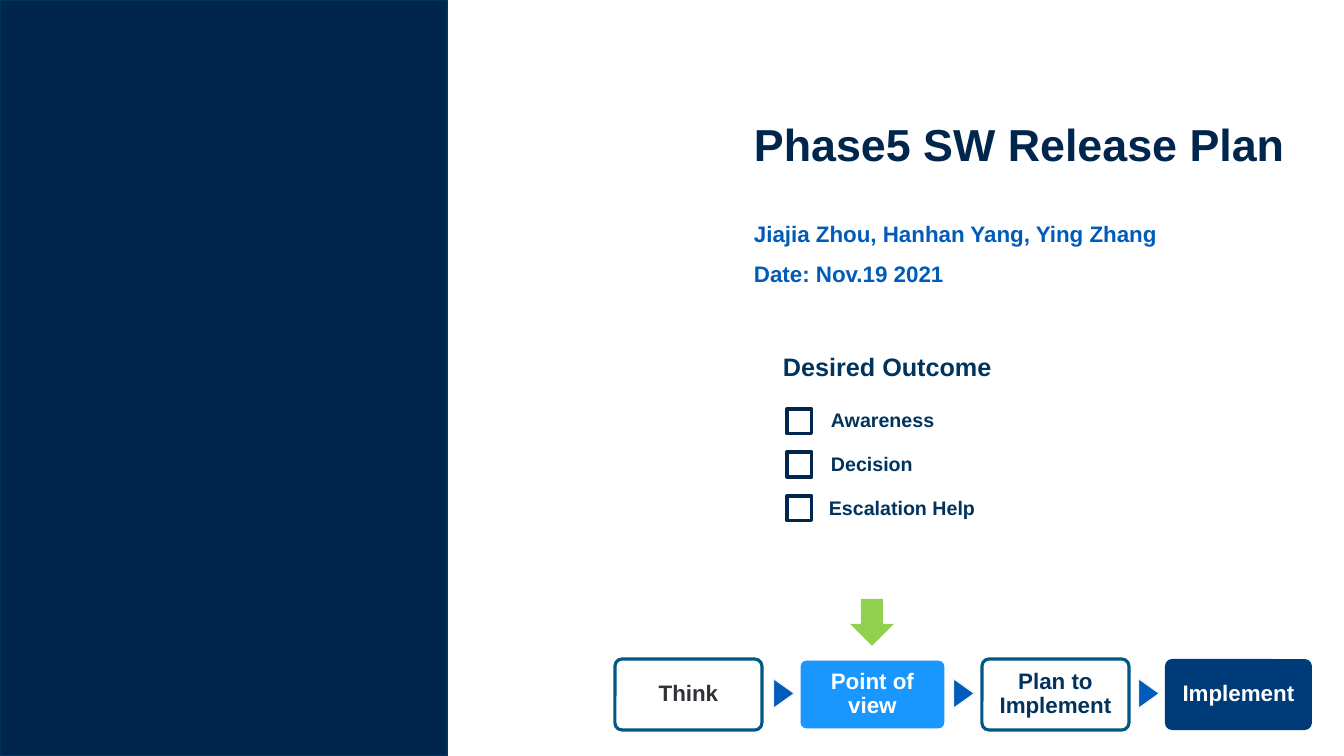
from pptx import Presentation
from pptx.dml.color import RGBColor
from pptx.enum.shapes import MSO_SHAPE
from pptx.enum.text import MSO_ANCHOR, PP_ALIGN
from pptx.util import Pt

PX = 12192000 / 1344
COLORS = {
    "navy": "00264E", "edge": "00335D", "ink": "00345E", "blue": "005BBA",
    "teal": "015886", "sky": "1997FF", "deep": "003B79", "gray": "2F3338",
    "pale": "F2F2F2", "green": "92D050", "white": "FFFFFF",
}


def px(n):
    """Turn pixels into EMU."""
    return round(n * PX)


def rgb(name):
    """Look up a colour by name."""
    return RGBColor.from_string(COLORS[name])


def write(tf, text, size, color, **paragraph):
    """Put one bold, middle-anchored paragraph in a text frame."""
    tf.word_wrap = True
    tf.vertical_anchor = MSO_ANCHOR.MIDDLE
    p = tf.paragraphs[0]
    for key, value in paragraph.items():
        setattr(p, key, value)
    r = p.add_run()
    r.text = text
    for key, value in {"name": "Arial", "size": Pt(size), "bold": True}.items():
        setattr(r.font, key, value)
    r.font.color.rgb = rgb(color)


def add_label(s, box, text, size, color):
    """Add a left-aligned text box."""
    sp = s.shapes.add_textbox(*map(px, box))
    write(sp.text_frame, text, size, color)


def add_box(s, kind, box, fill=None, line=None, width=1):
    """Add a preset shape with optional fill and outline."""
    sp = s.shapes.add_shape(kind, *map(px, box))
    sp.shadow.inherit = False
    if fill:
        sp.fill.solid()
        sp.fill.fore_color.rgb = rgb(fill)
    else:
        sp.fill.background()
    if line:
        sp.line.color.rgb = rgb(line)
        sp.line.width = Pt(width)
    else:
        sp.line.fill.background()
    return sp


def add_step(s, x, text, color, fill, line):
    """Add one rounded step of the process."""
    sp = add_box(s, MSO_SHAPE.ROUNDED_RECTANGLE, (x, 659, 147, 71), fill, line, 2.25)
    sp.adjustments[0] = 0.1
    tf = sp.text_frame
    for side in ("left", "top", "right", "bottom"):
        setattr(tf, f"margin_{side}", px(9))
    write(tf, text, 16, color, alignment=PP_ALIGN.CENTER, line_spacing=0.9)


def add_outcome(s, text, box_y, label_x, label_y, label_w):
    """Add a check box and its label."""
    add_box(s, MSO_SHAPE.RECTANGLE, (787, box_y, 25, 25), None, "navy", 2.25)
    add_label(s, (label_x, label_y, label_w, 65), text, 14, "ink")


def main():
    """Build the slide."""
    prs = Presentation()
    prs.slide_width, prs.slide_height = px(1344), px(756)
    s = prs.slides.add_slide(prs.slide_layouts[6])

    add_box(s, MSO_SHAPE.RECTANGLE, (0, 0, 447, 756), "navy", "edge")
    add_label(s, (744, 84, 650, 119), "Phase5 SW Release Plan", 32, "navy")

    steps = [
        ("Think", "gray", None, "teal"),
        ("Point of view", "white", "sky", "white"),
        ("Plan to Implement", "ink", None, "teal"),
        ("Implement", "white", "deep", None),
    ]
    for i, step in enumerate(steps):
        add_step(s, 615 + round(i * 183.5), *step)
    for x in (769, 949, 1134):
        sp = add_box(s, MSO_SHAPE.ISOSCELES_TRIANGLE, (x, 683, 30, 21), "blue", "pale")
        sp.rotation = 90
    add_box(s, MSO_SHAPE.DOWN_ARROW, (850, 599, 44, 47), "green")

    add_label(s, (744, 201, 500, 65), "Jiajia Zhou, Hanhan Yang, Ying Zhang", 16, "blue")
    add_label(s, (744, 241, 373, 65), "Date: Nov.19 2021", 16, "blue")
    add_label(s, (773, 334, 345, 65), "Desired Outcome", 18, "ink")
    outcomes = [
        ("Awareness", 409, 821, 387, 201),
        ("Decision", 452, 821, 431, 201),
        ("Escalation Help", 496, 819, 475, 244),
    ]
    for outcome in outcomes:
        add_outcome(s, *outcome)
    prs.save("out.pptx")


if __name__ == "__main__":
    main()
